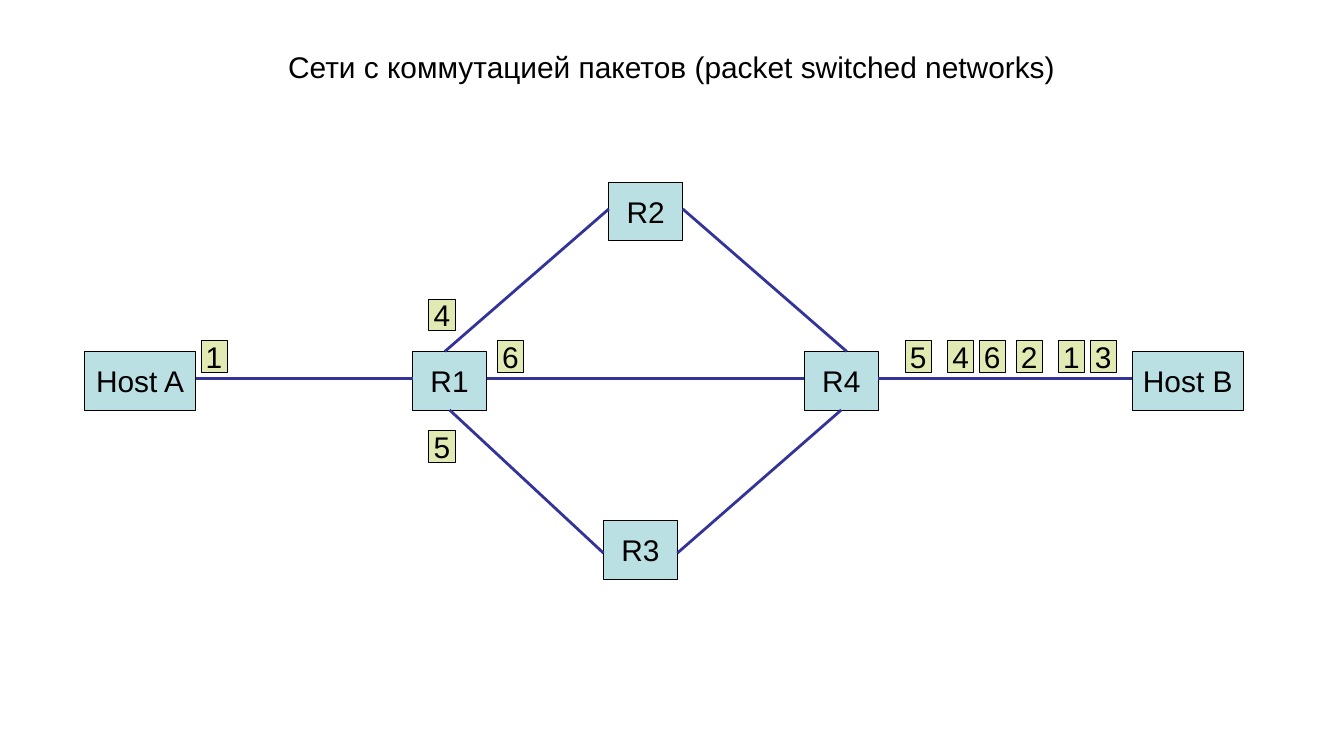
from dataclasses import dataclass

from lxml import etree
from pptx import Presentation
from pptx.dml.color import RGBColor
from pptx.enum.shapes import MSO_CONNECTOR, MSO_SHAPE
from pptx.enum.text import MSO_ANCHOR, PP_ALIGN
from pptx.oxml.ns import qn
from pptx.util import Pt

RECT = MSO_SHAPE.RECTANGLE
STRAIGHT = MSO_CONNECTOR.STRAIGHT
MIDDLE = MSO_ANCHOR.MIDDLE
CENTER = PP_ALIGN.CENTER
EMU_PER_PX = 9144
BLANK_LAYOUT = 6


def px(length):
    return length * EMU_PER_PX


@dataclass(frozen=True)
class Theme:
    font: str = "Arial"
    text_size: float = 32
    text: str = "000000"
    node: str = "BBE0E3"
    packet: str = "E2EAB4"
    border: str = "000000"
    border_width: float = 0.75
    link: str = "333399"
    link_width: float = 3


class Diagram:
    def __init__(self, slide, theme):
        self.slide = slide
        self.theme = theme

    def label(self, frame, words, wrap, inset_x, inset_y):
        frame_format = {
            "word_wrap": wrap,
            "vertical_anchor": MIDDLE,
            "margin_left": px(inset_x),
            "margin_right": px(inset_x),
            "margin_top": px(inset_y),
            "margin_bottom": px(inset_y),
        }
        for name, value in frame_format.items():
            setattr(frame, name, value)
        paragraph = frame.paragraphs[0]
        paragraph.alignment = CENTER
        run = paragraph.add_run()
        run.text = words
        font_format = {"name": self.theme.font, "size": Pt(self.theme.text_size)}
        for name, value in font_format.items():
            setattr(run.font, name, value)
        run.font.color.rgb = RGBColor.from_string(self.theme.text)

    def stroke(self, line, color, width):
        line.color.rgb = RGBColor.from_string(color)
        line.width = Pt(width)

    def title(self, words, left, top, width, height):
        heading = self.slide.shapes.add_textbox(*map(px, (left, top, width, height)))
        self.label(heading.text_frame, words, True, 18, 9)

    def box(self, words, left, top, width, height, fill):
        box = self.slide.shapes.add_shape(RECT, *map(px, (left, top, width, height)))
        box.shadow.inherit = False
        box.fill.solid()
        box.fill.fore_color.rgb = RGBColor.from_string(fill)
        self.stroke(box.line, self.theme.border, self.theme.border_width)
        self.label(box.text_frame, words, False, 10, 5)

    def host(self, name, left, top):
        self.box(name, left, top, 165, 87, self.theme.node)

    def router(self, name, left, top):
        self.box(name, left, top, 110, 87, self.theme.node)

    def packet(self, number, left, top):
        self.box(number, left, top, 39, 47, self.theme.packet)

    def link(self, start, end):
        link = self.slide.shapes.add_connector(STRAIGHT, *map(px, (*start, *end)))
        self.stroke(link.line, self.theme.link, self.theme.link_width)
        etree.SubElement(link._element.spPr, qn("a:effectLst"))


def main():
    deck = Presentation()
    deck.slide_width, deck.slide_height = px(2000), px(1125)
    slide = deck.slides.add_slide(deck.slide_layouts[BLANK_LAYOUT])
    network = Diagram(slide, Theme())

    network.title("Сети с коммутацией пакетов (packet switched networks)", 100, 45, 1800, 108)

    row_top, row_bottom = 523, 610
    trunk = 563
    upper_port, lower_port = 311, 823
    for name, left in (("Host A", 126), ("Host B", 1685)):
        network.host(name, left, row_top)
    for name, left, top in (
        ("R1", 614, row_top),
        ("R2", 906, 271),
        ("R3", 898, 775),
        ("R4", 1197, row_top),
    ):
        network.router(name, left, top)

    for start, end in ((291, 614), (724, 1197), (1307, 1685)):
        network.link((start, trunk), (end, trunk))
    for start, end in (
        ((669, row_bottom), (898, lower_port)),
        ((1016, upper_port), (1260, row_top)),
        ((1252, row_bottom), (1008, lower_port)),
        ((906, upper_port), (662, row_top)),
    ):
        network.link(start, end)

    for number, top in (("4", 445), ("5", 641)):
        network.packet(number, 638, top)
    trunk_packets = (
        ("6", 740),
        ("3", 1622),
        ("1", 1575),
        ("2", 1512),
        ("6", 1457),
        ("4", 1410),
        ("5", 1347),
        ("1", 299),
    )
    for number, left in trunk_packets:
        network.packet(number, left, 507)

    deck.save("out.pptx")


if __name__ == "__main__":
    main()
